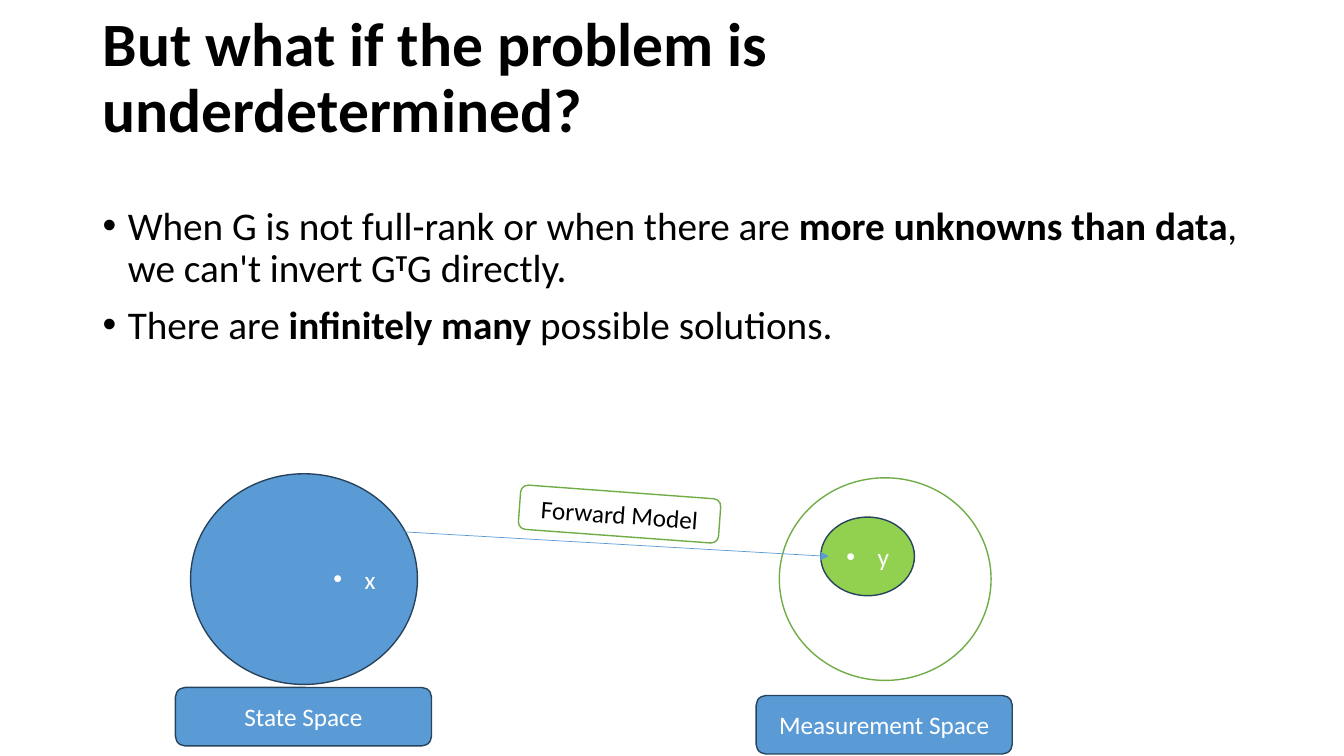
"""Build a slide on underdetermined problems with a forward-model diagram."""
from dataclasses import dataclass

from lxml import etree
from pptx import Presentation
from pptx.dml.color import RGBColor
from pptx.enum.shapes import MSO_CONNECTOR, MSO_SHAPE
from pptx.enum.text import MSO_ANCHOR, PP_ALIGN
from pptx.oxml.ns import qn
from pptx.util import Inches, Pt

ELLIPSE = MSO_SHAPE.OVAL
ROUNDED = MSO_SHAPE.ROUNDED_RECTANGLE
STRAIGHT = MSO_CONNECTOR.STRAIGHT
MIDDLE = MSO_ANCHOR.MIDDLE
CENTER = PP_ALIGN.CENTER

FONT = "Calibri"
BLACK, WHITE = "000000", "FFFFFF"
BLUE, NAVY = "5B9BD5", "28445D"
GREEN, LIME = "70AD47", "92D050"


@dataclass(frozen=True)
class Span:
    text: str
    bold: bool = False
    superscript: bool = False


@dataclass(frozen=True)
class Node:
    kind: int
    left: float
    top: float
    width: float
    height: float
    fill: str
    line: str
    text: str = ""
    color: str = WHITE
    bullet_indent: float = 0
    rotation: float = 0


BULLETS = [
    [
        Span("When G is not full-rank or when there are "),
        Span("more unknowns than data", bold=True),
        Span(", we can't invert G"),
        Span("T", bold=True, superscript=True),
        Span("G directly."),
    ],
    [
        Span("There are "),
        Span("infinitely many", bold=True),
        Span(" possible solutions."),
    ],
]

SPACES = [
    Node(ELLIPSE, 1.89, 4.7, 2.25, 2.09, BLUE, NAVY, "x", bullet_indent=1.31),
    Node(ELLIPSE, 7.73, 4.74, 2.1, 2.01, WHITE, GREEN),
    Node(ELLIPSE, 8.14, 5.13, 0.93, 0.78, LIME, NAVY, "y", bullet_indent=0.31),
    Node(ROUNDED, 1.74, 6.82, 2.54, 0.58, BLUE, NAVY, "State Space"),
    Node(ROUNDED, 7.5, 6.9, 2.54, 0.58, BLUE, NAVY, "Measurement Space"),
]
MODEL_LABEL = Node(ROUNDED, 5.15, 4.88, 1.99, 0.44, WHITE, GREEN,
                   "Forward Model", BLACK, rotation=4.2)


def rgb(value: str) -> RGBColor:
    return RGBColor.from_string(value)


def style_run(run, size: float, color: str, bold: bool = False) -> None:
    run.font.name = FONT
    run.font.size = Pt(size)
    run.font.bold = bold
    run.font.color.rgb = rgb(color)


def add_bullet(para, indent: float, hanging: float) -> None:
    properties = para._p.get_or_add_pPr()
    properties.set("marL", str(Inches(indent)))
    properties.set("indent", str(-Inches(hanging)))
    etree.SubElement(properties, qn("a:buFont")).set("typeface", "Arial")
    etree.SubElement(properties, qn("a:buChar")).set("char", "•")


def add_text_box(page, left: float, top: float, width: float, height: float):
    box = page.shapes.add_textbox(Inches(left), Inches(top), Inches(width), Inches(height))
    box.text_frame.word_wrap = True
    return box.text_frame


def add_title(page, text: str) -> None:
    frame = add_text_box(page, 0.92, 0.4, 11.5, 1.45)
    frame.vertical_anchor = MIDDLE
    frame.margin_bottom = Inches(0.72)
    frame.text = text
    para = frame.paragraphs[0]
    para.line_spacing = 0.9
    style_run(para.runs[0], 44, BLACK, bold=True)


def add_body(page, bullets: list[list[Span]]) -> None:
    frame = add_text_box(page, 0.92, 2, 11.5, 4.76)
    for index, spans in enumerate(bullets):
        para = frame.add_paragraph() if index else frame.paragraphs[0]
        para.line_spacing = 0.9
        para.space_before = Pt(10)
        add_bullet(para, 0.25, 0.25)
        for span in spans:
            run = para.add_run()
            run.text = span.text
            style_run(run, 28, BLACK, span.bold)
            if span.superscript:
                run._r.get_or_add_rPr().set("baseline", "30000")


def add_node(page, node: Node) -> None:
    shape = page.shapes.add_shape(node.kind, Inches(node.left), Inches(node.top),
                                  Inches(node.width), Inches(node.height))
    shape.shadow.inherit = False
    shape.rotation = node.rotation
    shape.fill.solid()
    shape.fill.fore_color.rgb = rgb(node.fill)
    shape.line.color.rgb = rgb(node.line)
    shape.line.width = Pt(1)
    if node.text:
        frame = shape.text_frame
        frame.word_wrap = True
        frame.vertical_anchor = MIDDLE
        frame.text = node.text
        para = frame.paragraphs[0]
        para.alignment = CENTER
        style_run(para.runs[0], 18, node.color)
        if node.bullet_indent:
            add_bullet(para, node.bullet_indent, 0.31)


def add_arrow(page, start: tuple[float, float], end: tuple[float, float]) -> None:
    arrow = page.shapes.add_connector(STRAIGHT, *map(Inches, start + end))
    arrow.line.color.rgb = rgb(BLUE)
    arrow.line.width = Pt(0.5)
    etree.SubElement(arrow.line._get_or_add_ln(), qn("a:tailEnd")).set("type", "triangle")
    etree.SubElement(arrow._element.spPr, qn("a:effectLst"))


def main() -> None:
    deck = Presentation()
    deck.slide_width = Inches(13.33)
    deck.slide_height = Inches(7.5)
    page = deck.slides.add_slide(deck.slide_layouts[6])
    add_title(page, "But what if the problem is underdetermined?")
    add_body(page, BULLETS)
    for node in SPACES:
        add_node(page, node)
    add_arrow(page, (3.55, 5.25), (8.22, 5.52))
    add_node(page, MODEL_LABEL)
    deck.save("out.pptx")


if __name__ == "__main__":
    main()
